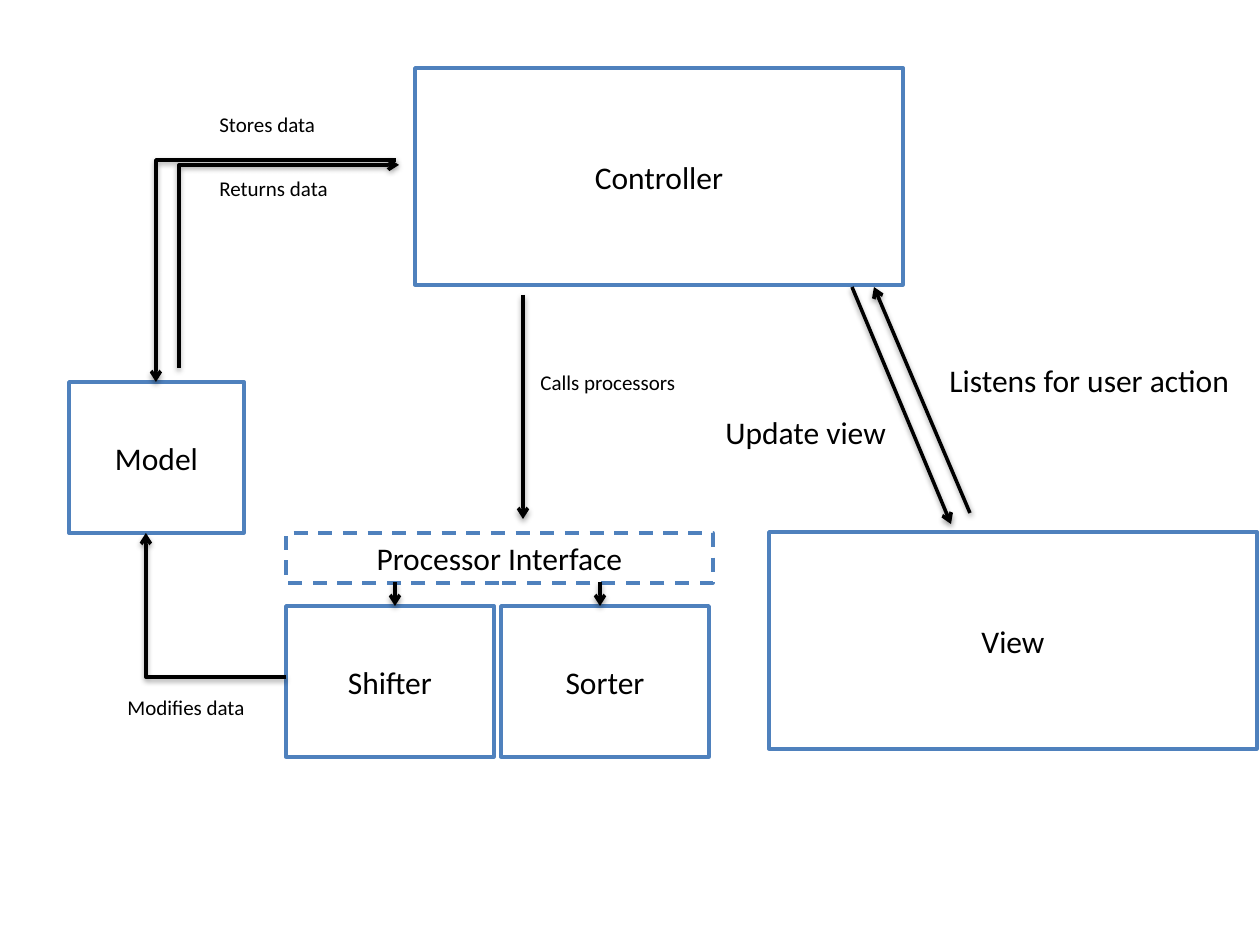
from typing import NamedTuple

from lxml import etree
from pptx import Presentation
from pptx.dml.color import RGBColor
from pptx.enum.dml import MSO_LINE
from pptx.enum.shapes import MSO_CONNECTOR, MSO_SHAPE
from pptx.enum.text import MSO_ANCHOR, MSO_AUTO_SIZE, PP_ALIGN
from pptx.oxml import parse_xml
from pptx.oxml.ns import nsdecls, qn
from pptx.util import Emu, Pt

RECTANGLE = MSO_SHAPE.RECTANGLE
STRAIGHT, ELBOW = MSO_CONNECTOR.STRAIGHT, MSO_CONNECTOR.ELBOW
DASH = MSO_LINE.DASH
MIDDLE, CENTER, LEFT = MSO_ANCHOR.MIDDLE, PP_ALIGN.CENTER, PP_ALIGN.LEFT
FIT_TEXT = MSO_AUTO_SIZE.SHAPE_TO_FIT_TEXT

PIXEL = 914400 / 126
FONT = "Calibri"
BLACK, WHITE, BLUE = "000000", "FFFFFF", "4F81BD"
SHADOW = (
    f'<a:effectLst {nsdecls("a")}>'
    '<a:outerShdw blurRad="40000" dist="20000" dir="5400000" rotWithShape="0">'
    f'<a:srgbClr val="{BLACK}"><a:alpha val="38000"/></a:srgbClr>'
    "</a:outerShdw></a:effectLst>"
)


class Component(NamedTuple):
    """A named box of the architecture."""
    name: str
    left: int
    top: int
    width: int
    height: int
    dashed: bool = False


class Label(NamedTuple):
    """A caption beside an arrow."""
    words: str
    left: int
    top: int
    width: int
    height: int
    size: int
    wrap: bool = False


class Arrow(NamedTuple):
    """An arrow; a bent one turns once, across or up first."""
    x1: int
    y1: int
    x2: int
    y2: int
    bend: str = ""


COMPONENTS = [
    Component("Controller", 415, 68, 488, 217),
    Component("View", 769, 532, 488, 217),
    Component("Model", 69, 382, 175, 151),
    Component("Shifter", 286, 606, 208, 151),
    Component("Processor Interface", 286, 533, 427, 50, dashed=True),
    Component("Sorter", 501, 606, 208, 151),
]
ARROWS = [
    Arrow(970, 513, 874, 287),
    Arrow(852, 287, 951, 524),
    Arrow(396, 160, 156, 382, "across"),
    Arrow(179, 368, 399, 165, "up"),
    Arrow(523, 295, 523, 519),
    Arrow(286, 677, 146, 533, "across"),
    Arrow(395, 582, 395, 606),
    Arrow(600, 582, 600, 606),
]
LABELS = [
    Label("Listens for user action", 937, 355, 309, 50, 18),
    Label("Update view", 713, 407, 189, 50, 18),
    Label("Stores data", 207, 105, 123, 38, 12),
    Label("Returns data", 207, 169, 137, 38, 12),
    Label("Calls processors", 528, 363, 185, 38, 12, wrap=True),
    Label("Modifies data", 115, 688, 185, 38, 12, wrap=True),
]


def px(length: int) -> Emu:
    """Turn pixels into EMU."""
    return Emu(round(length * PIXEL))


def colour(value: str) -> RGBColor:
    """Turn a hex string into a colour."""
    return RGBColor.from_string(value)


def write(frame, words: str, size: int, align) -> None:
    """Put one run of text in a frame."""
    paragraph = frame.paragraphs[0]
    paragraph.alignment = align
    run = paragraph.add_run()
    run.text = words
    run.font.name = FONT
    run.font.size = Pt(size)
    run.font.color.rgb = colour(BLACK)


def draw_component(shapes, item: Component) -> None:
    """Draw an outlined box with its centred name."""
    box = shapes.add_shape(RECTANGLE, px(item.left), px(item.top),
                           px(item.width), px(item.height))
    box.shadow.inherit = False
    box.fill.solid()
    box.fill.fore_color.rgb = colour(WHITE)
    box.line.color.rgb = colour(BLUE)
    box.line.width = Pt(2)
    if item.dashed:
        box.line.dash_style = DASH
    box.text_frame.vertical_anchor = MIDDLE
    write(box.text_frame, item.name, 18, CENTER)


def draw_label(shapes, item: Label) -> None:
    """Draw a caption."""
    caption = shapes.add_textbox(px(item.left), px(item.top),
                                 px(item.width), px(item.height))
    caption.text_frame.word_wrap = item.wrap
    caption.text_frame.auto_size = FIT_TEXT
    write(caption.text_frame, item.words, item.size, LEFT)


def draw_arrow(shapes, item: Arrow) -> None:
    """Draw a shadowed connector with an arrowhead at its end."""
    link = shapes.add_connector(ELBOW if item.bend else STRAIGHT,
                                px(item.x1), px(item.y1),
                                px(item.x2), px(item.y2))
    link.line.color.rgb = colour(BLACK)
    link.line.width = Pt(2)
    properties = link._element.spPr
    etree.SubElement(properties.find(qn("a:ln")), qn("a:tailEnd"), type="arrow")
    properties.append(parse_xml(SHADOW))
    geometry = properties.find(qn("a:prstGeom"))
    if item.bend == "across":
        geometry.set("prst", "bentConnector2")
    elif item.bend == "up":
        adjustments = geometry.find(qn("a:avLst"))
        etree.SubElement(adjustments, qn("a:gd"), name="adj1", fmla="val 0")


def main() -> None:
    """Build the slide and save it."""
    deck = Presentation()
    deck.slide_width, deck.slide_height = px(1260), px(945)
    shapes = deck.slides.add_slide(deck.slide_layouts[6]).shapes
    for component in COMPONENTS:
        draw_component(shapes, component)
    for arrow in ARROWS:
        draw_arrow(shapes, arrow)
    for label in LABELS:
        draw_label(shapes, label)
    deck.save("out.pptx")


main()
